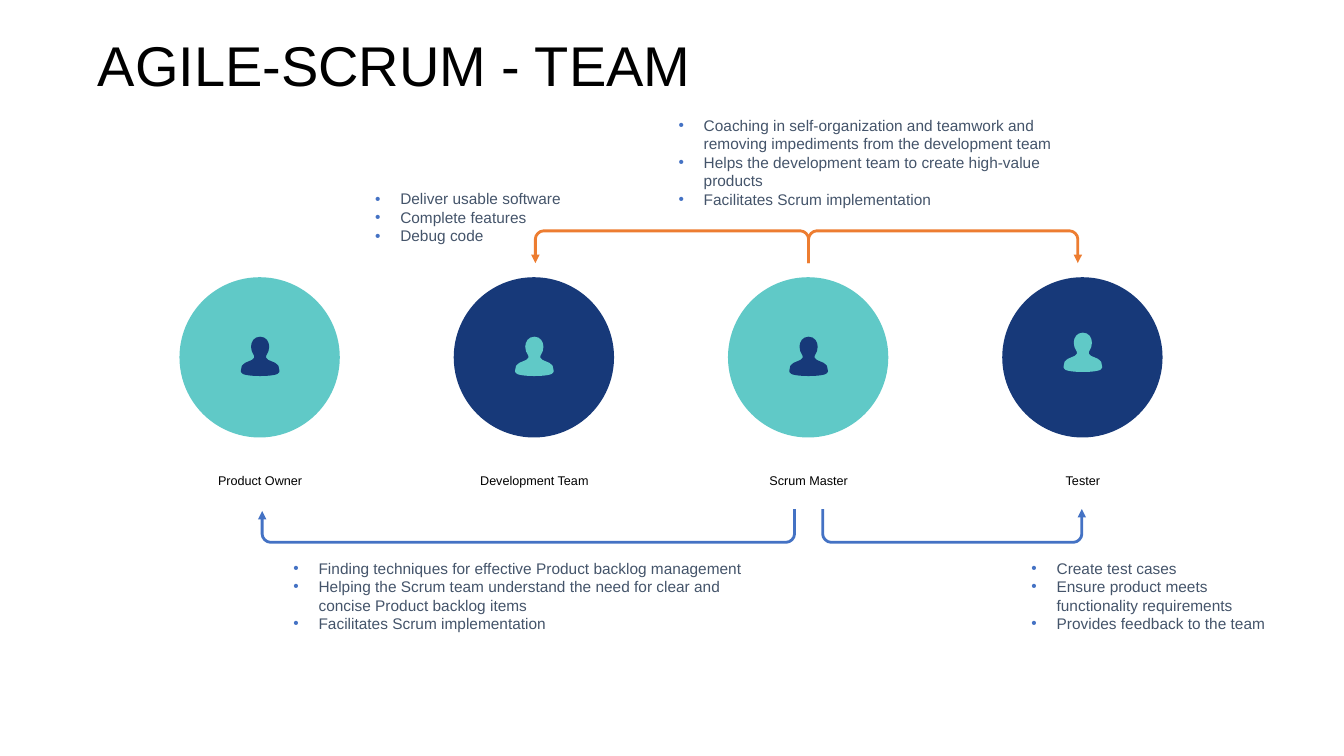
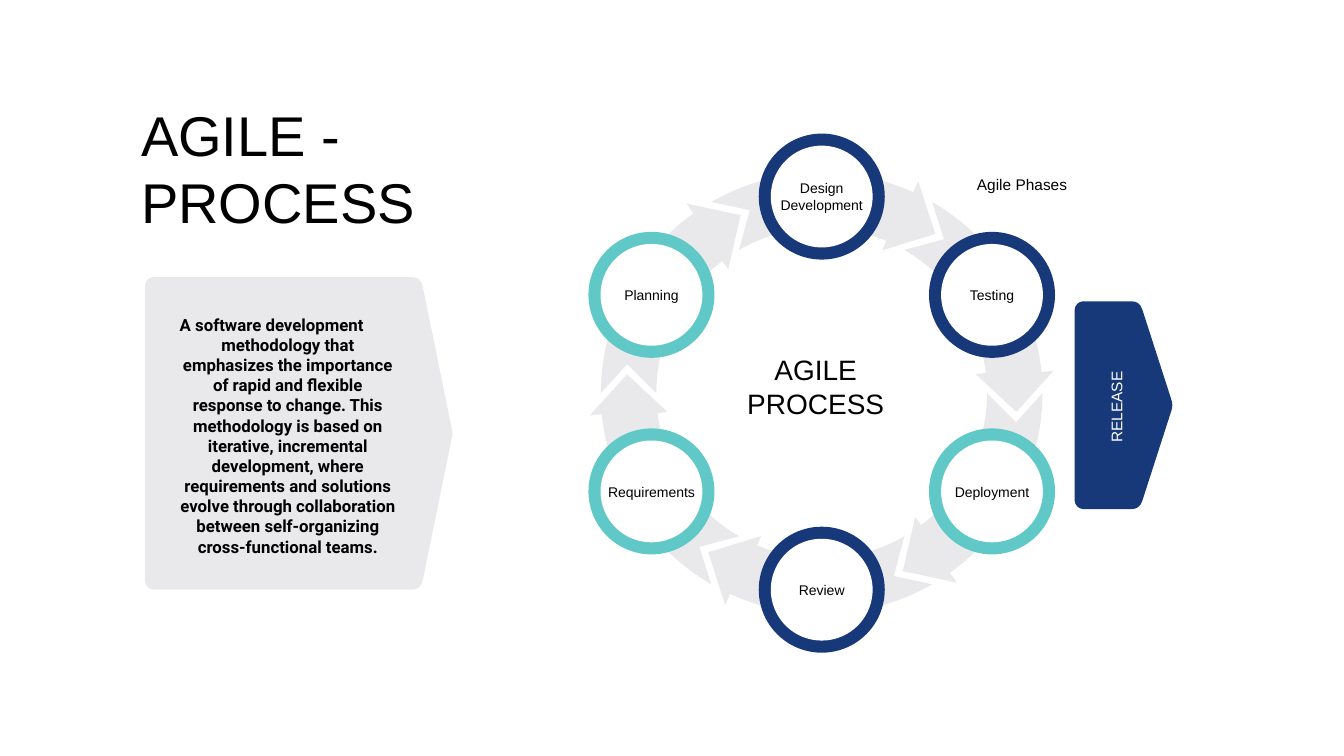
from math import cos, radians, sin

from lxml.etree import SubElement
from pptx import Presentation
from pptx.dml.color import RGBColor
from pptx.enum.shapes import MSO_SHAPE as Preset
from pptx.enum.text import MSO_ANCHOR as Anchor, MSO_AUTO_SIZE as AutoSize, PP_ALIGN as Align
from pptx.oxml.ns import qn
from pptx.util import Inches, Pt

# Shared colours and text styles
rgb = RGBColor.from_string
NAVY, TEAL, GREY, WHITE = "173979", "60C9C7", "E9E9EC", "FFFFFF"
BLUE, ORANGE, SLATE = "4472C4", "ED7D31", "44546A"
TITLE = dict(size=40)
BULLETS = dict(size=11, colour=SLATE, indent=0.25, bullet=BLUE)


def add_text(page, place, text, size, colour="000000", align=Align.LEFT,
             font="Arial", bold=False, indent=0, bullet=None):
    box = page.shapes.add_textbox(*[Inches(value) for value in place])
    frame = box.text_frame
    frame.word_wrap = True
    frame.auto_size = AutoSize.SHAPE_TO_FIT_TEXT
    frame.vertical_anchor = Anchor.MIDDLE
    frame.margin_left = frame.margin_right = Inches(0.03)
    frame.margin_top = frame.margin_bottom = Inches(0.03)
    frame.text = text
    for para in frame.paragraphs:
        para.alignment = align
        for span in para.runs:
            span.font.size = Pt(size)
            span.font.name = font
            span.font.bold = bold
            span.font.color.rgb = rgb(colour)
        if indent:
            props = para._p.get_or_add_pPr()
            props.set("marL", str(Inches(indent)))
            props.set("indent", str(-Inches(indent)))
        if bullet:
            SubElement(SubElement(props, qn("a:buClr")), qn("a:srgbClr"), val=bullet)
            SubElement(props, qn("a:buFont"), typeface="Arial")
            SubElement(props, qn("a:buChar"), char="•")
    return box


def add_outline(page, steps, fill=None, line=None, origin=(0, 0), mirrored=False):
    """Two numbers in a step make a straight line, six make a Bezier curve."""
    points = [pair for step in steps for pair in zip(step[::2], step[1::2])]
    counts = [len(step) // 2 for step in steps[1:]]
    if mirrored:
        points += [(-x, y) for x, y in reversed(points[:-1])]
        counts += counts[::-1]
    points = [(Inches(origin[0] + x), Inches(origin[1] + y)) for x, y in points]
    builder = page.shapes.build_freeform(*points[0])
    builder.add_line_segments(points[1:], close=line is None)
    shape = builder.convert_to_shape()
    shape.shadow.inherit = False

    # Join each three segments of a curve into one
    segments = iter(list(shape._element.iter(qn("a:lnTo"))))
    for count in counts:
        group = [next(segments) for _ in range(count)]
        if count == 3:
            group[0].tag = qn("a:cubicBezTo")
            for extra in group[1:]:
                group[0].append(extra[0])
                extra.getparent().remove(extra)

    if line:
        shape.fill.background()
        shape.line.color.rgb = rgb(line)
        shape.line.width = Pt(2)
        SubElement(shape._element.spPr.find(qn("a:ln")), qn("a:tailEnd"), type="triangle")
    else:
        shape.fill.solid()
        shape.fill.fore_color.rgb = rgb(fill)
        shape.line.fill.background()


deck = Presentation()
deck.slide_width, deck.slide_height = Inches(13.33), Inches(7.5)
blank = deck.slide_layouts[6]

# Team slide
page = deck.slides.add_slide(blank)
add_text(page, (0.94, 0.27, 6.2, 0.73), "AGILE-SCRUM - TEAM", **TITLE)

# Roles: disc, person and name
half_person = [
    (0, 0), (0.06, 0, 0.09, 0.05, 0.09, 0.1), (0.09, 0.13, 0.08, 0.16, 0.06, 0.19),
    (0.06, 0.19, 0.06, 0.21, 0.06, 0.21), (0.07, 0.22, 0.08, 0.23, 0.08, 0.23),
    (0.15, 0.26), (0.18, 0.27, 0.19, 0.3, 0.19, 0.33), (0.19, 0.35),
    (0.19, 0.38, 0.09, 0.39, 0, 0.39)]
roles = [("Product Owner", TEAL, NAVY, 3.34), ("Development Team", NAVY, TEAL, 3.34),
         ("Scrum Master", TEAL, NAVY, 3.34), ("Tester", NAVY, TEAL, 3.3)]
for index, (role, disc_colour, person_colour, person_top) in enumerate(roles):
    middle = 2.58 + 2.72 * index
    disc = page.shapes.add_shape(Preset.OVAL, Inches(middle - 0.8), Inches(2.75),
                                 Inches(1.59), Inches(1.59))
    disc.shadow.inherit = False
    disc.fill.solid()
    disc.fill.fore_color.rgb = rgb(disc_colour)
    disc.line.fill.background()
    add_outline(page, half_person, person_colour, origin=(middle, person_top), mirrored=True)
    add_text(page, (middle - 1, 4.66, 2, 0.21), role, 9, align=Align.CENTER)

# Bracket arrows: start, end, start level, end level, bar level
brackets = [(7.88, 2.6, 5.05, 5.07, 5.38, BLUE), (8.16, 10.73, 5.05, 5.05, 5.38, BLUE),
            (8.02, 5.31, 2.61, 2.61, 2.29, ORANGE), (8.02, 10.69, 2.61, 2.61, 2.29, ORANGE)]
for start, end, start_level, end_level, bar, colour in brackets:
    across = 0.08 if end > start else -0.08
    down = 0.08 if bar > start_level else -0.08
    add_outline(page, [
        (start, start_level), (start, bar - down),
        (start, bar - down / 2, start + across / 2, bar, start + across, bar),
        (end - across, bar),
        (end - across / 2, bar, end, bar - down / 2, end, bar - down),
        (end, end_level)], line=colour)

# Duties
duties = [
    ((6.7, 1.12, 4.17, 0.98), [
        "Coaching in self-organization and teamwork and removing impediments "
        "from the development team",
        "Helps the development team to create high-value products",
        "Facilitates Scrum implementation"]),
    ((2.88, 5.51, 4.68, 0.8), [
        "Finding techniques for effective Product backlog management",
        "Helping the Scrum team understand the need for clear and concise "
        "Product backlog items",
        "Facilitates Scrum implementation"]),
    ((3.69, 1.85, 2.01, 0.61), [
        "Deliver usable software", "Complete features", "Debug code"]),
    ((10.2, 5.51, 2.65, 0.8), [
        "Create test cases", "Ensure product meets functionality requirements",
        "Provides feedback to the team"])]
for place, lines in duties:
    add_text(page, place, "\n".join(lines), **BULLETS)

# Process slide
page = deck.slides.add_slide(blank)
add_text(page, (1.37, 0.96, 3.19, 1.4), "AGILE - PROCESS", **TITLE)

# Pointed tags: left, top, shoulder, tip, bottom
for left, top, shoulder, tip, bottom, colour in [
        (1.44, 2.75, 4.19, 4.49, 5.85, GREY), (10.66, 2.99, 11.33, 11.63, 5.05, NAVY)]:
    middle = (top + bottom) / 2
    add_outline(page, [
        (left + 0.08, top), (shoulder - 0.1, top),
        (shoulder - 0.06, top, shoulder - 0.02, top + 0.02, shoulder, top + 0.08),
        (tip - 0.01, middle - 0.05),
        (tip, middle - 0.02, tip, middle + 0.02, tip - 0.01, middle + 0.05),
        (shoulder, bottom - 0.08),
        (shoulder - 0.02, bottom - 0.02, shoulder - 0.06, bottom, shoulder - 0.1, bottom),
        (left + 0.08, bottom),
        (left + 0.04, bottom, left, bottom - 0.04, left, bottom - 0.08),
        (left, top + 0.08), (left, top + 0.04, left + 0.04, top, left + 0.08, top)], colour)

# Ring of arrows: one outline of radius and angle pairs, turned in steps of 60 degrees
centre_x, centre_y = 8.15, 3.9
arrow = [(2.19, 0), (2.3, 17.9, 2.3, 36.6, 2.19, 54.5), (2.31, 54.5), (1.94, 65.5),
         (1.54, 53), (1.64, 53), (1.72, 35.6, 1.72, 17.4, 1.64, 0), (1.95, 8.5)]
for turn in range(0, 360, 60):
    steps = []
    for step in arrow:
        pairs = zip(step[::2], step[1::2])
        steps.append([value for radius, angle in pairs
                      for value in (radius * cos(radians(angle + turn)),
                                    radius * sin(radians(angle + turn)))])
    add_outline(page, steps, GREY, origin=(centre_x, centre_y))

# Phases, clockwise from the top
phases = [("Design\nDevelopment", NAVY), ("Testing", NAVY), ("Deployment", TEAL),
          ("Review", NAVY), ("Requirements", TEAL), ("Planning", TEAL)]
for index, (phase, colour) in enumerate(phases):
    angle = radians(60 * index - 90)
    x, y = centre_x + 1.95 * cos(angle), centre_y + 1.95 * sin(angle)
    for width, disc_colour in [(1.25, colour), (1.01, WHITE)]:
        disc = page.shapes.add_shape(Preset.OVAL, Inches(x - width / 2), Inches(y - width / 2),
                                     Inches(width), Inches(width))
        disc.shadow.inherit = False
        disc.fill.solid()
        disc.fill.fore_color.rgb = rgb(disc_colour)
        disc.line.fill.background()
    height = 0.39 if "\n" in phase else 0.22
    add_text(page, (x - 0.57, y - height / 2, 1.14, height), phase, 10, align=Align.CENTER)

# Captions
add_text(page, (7.29, 3.47, 1.6, 0.73), "AGILE\nPROCESS", 20, align=Align.CENTER)
add_text(page, (9.66, 1.71, 1.08, 0.24), "Agile Phases", 11)
add_text(page, (1.42, 2.98, 2.55, 2.68),
         "A software development methodology that emphasizes the importance of rapid and "
         "flexible response to change. This methodology is based on iterative, incremental "
         "development, where requirements and solutions evolve through collaboration between "
         "self-organizing cross-functional teams.",
         12, align=Align.CENTER, font="Roboto", bold=True, indent=0.32)
release = add_text(page, (10.53, 3.92, 1.08, 0.24), "RELEASE", 11, WHITE, Align.CENTER)
release.rotation = 270

deck.save("out.pptx")
